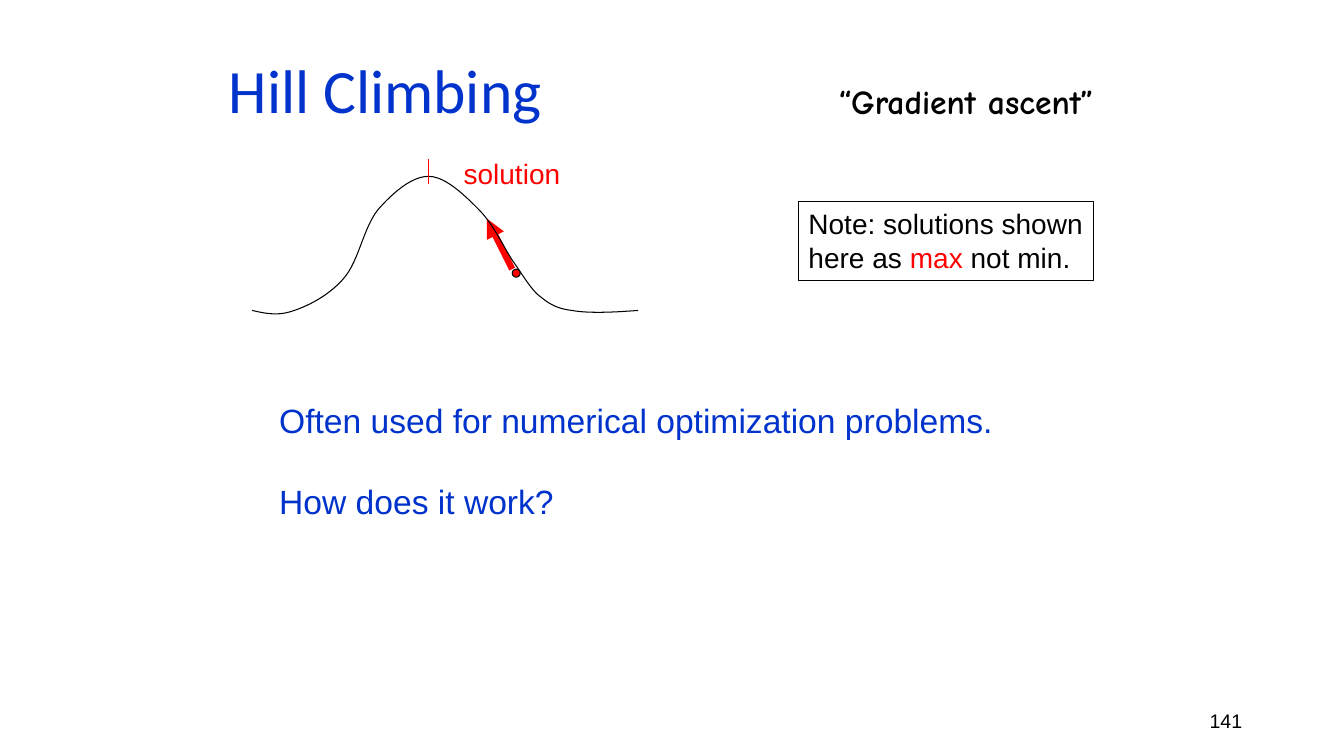
from pptx import Presentation
from pptx.dml.color import RGBColor
from pptx.enum.shapes import MSO_CONNECTOR, MSO_SHAPE
from pptx.enum.text import MSO_ANCHOR, MSO_AUTO_SIZE, PP_ALIGN
from pptx.oxml.ns import qn
from pptx.util import Inches, Pt
from lxml import etree

HUES = {"blue": "0033CC", "red": "FF0000", "black": "000000"}
HUES = {name: RGBColor.from_string(code) for name, code in HUES.items()}

deck = Presentation()
deck.slide_width, deck.slide_height = Inches(13.33), Inches(7.5)
slide = deck.slides.add_slide(deck.slide_layouts[6])
shapes = slide.shapes


def add_text(area, lines, size, face="Arial", bold=False, wrap=False):
    """Each line is a list of (words, colour) runs."""
    box = shapes.add_textbox(*map(Inches, area))
    frame = box.text_frame
    frame.word_wrap = wrap
    frame.auto_size = MSO_AUTO_SIZE.NONE if wrap else MSO_AUTO_SIZE.SHAPE_TO_FIT_TEXT
    for i, runs in enumerate(lines):
        para = frame.add_paragraph() if i else frame.paragraphs[0]
        for words, hue in runs:
            run = para.add_run()
            run.text = words
            font = run.font
            font.name, font.size, font.bold = face, Pt(size), bold
            font.color.rgb = HUES[hue]
    return box


def add_line(start, end, width):
    line = shapes.add_connector(MSO_CONNECTOR.STRAIGHT, *map(Inches, start + end))
    line.line.color.rgb = HUES["red"]
    line.line.width = Pt(width)
    etree.SubElement(line._element.spPr, qn("a:effectLst"))
    return line


# Page number
page = add_text((9.42, 6.95, 3, 0.4), [[("141", "black")]], 14, wrap=True)
page.text_frame.vertical_anchor = MSO_ANCHOR.MIDDLE
page.text_frame.paragraphs[0].alignment = PP_ALIGN.RIGHT

# Title and its other name
title = add_text((2.17, 0.3, 7.98, 1.25), [[("Hill Climbing", "blue")]],
                 44, "Calibri", wrap=True)
title.text_frame.vertical_anchor = MSO_ANCHOR.MIDDLE
title.text_frame.paragraphs[0].line_spacing = 0.9
add_text((8.22, 0.75, 3.05, 0.5), [[("“Gradient ascent”", "black")]],
         24, "Comic Neue", bold=True)

# Current point and the step uphill
dot = shapes.add_shape(MSO_SHAPE.OVAL, *map(Inches, (5.08, 2.67, 0.08, 0.08)))
dot.shadow.inherit = False
dot.fill.solid()
dot.fill.fore_color.rgb = HUES["red"]
dot.line.color.rgb = HUES["black"]
dot.line.width = Pt(0.75)
step = add_line((5.08, 2.67), (4.83, 2.17), 4.5)
etree.SubElement(step.line._get_or_add_ln(), qn("a:tailEnd"), type="triangle")

# Hill: cubic curves, each given by two handles and an end point
start = (2.5, 3.08)
curves = [
    ((2.63, 3.11), (2.76, 3.14), (2.92, 3.08)),
    ((3.07, 3.03), (3.28, 2.92), (3.42, 2.75)),
    ((3.56, 2.58), (3.61, 2.25), (3.75, 2.08)),
    ((3.89, 1.92), (4.08, 1.75), (4.25, 1.75)),
    ((4.42, 1.75), (4.61, 1.94), (4.75, 2.08)),
    ((4.89, 2.22), (4.99, 2.44), (5.08, 2.58)),
    ((5.18, 2.72), (5.24, 2.83), (5.33, 2.92)),
    ((5.43, 3), (5.5, 3.06), (5.67, 3.08)),
    ((5.83, 3.11), (6.08, 3.1), (6.33, 3.08)),
]
STEPS = 12
points = []
last = start
for one, two, end in curves:
    for n in range(1, STEPS + 1):
        t = n / STEPS
        u = 1 - t
        points.append(tuple(
            Inches(u**3 * a + 3 * u * u * t * b + 3 * u * t * t * c + t**3 * d)
            for a, b, c, d in zip(last, one, two, end)))
    last = end
path = shapes.build_freeform(*map(Inches, start))
path.add_line_segments(points, close=False)
hill = path.convert_to_shape()
hill.shadow.inherit = False
hill.fill.background()
hill.line.color.rgb = HUES["black"]
hill.line.width = Pt(0.75)

# Summit mark
add_text((4.5, 1.5, 1.16, 0.43), [[("solution", "red")]], 20)
add_line((4.25, 1.58), (4.25, 1.83), 0.75)

# Framed note
note = add_text((7.92, 2, 2.93, 0.78), [
    [("Note: solutions shown", "black")],
    [("here as ", "black"), ("max", "red"), (" not min.", "black")],
], 20)
note.line.color.rgb = HUES["black"]
note.line.width = Pt(0.75)

# Remarks, one line apart
body = add_text((2.67, 3.92, 7.35, 1.31), [
    [("Often used for numerical optimization problems.", "blue")],
    [("How does it work?", "blue")],
], 24)
body.text_frame.paragraphs[1].space_before = Pt(29)

deck.save("out.pptx")
